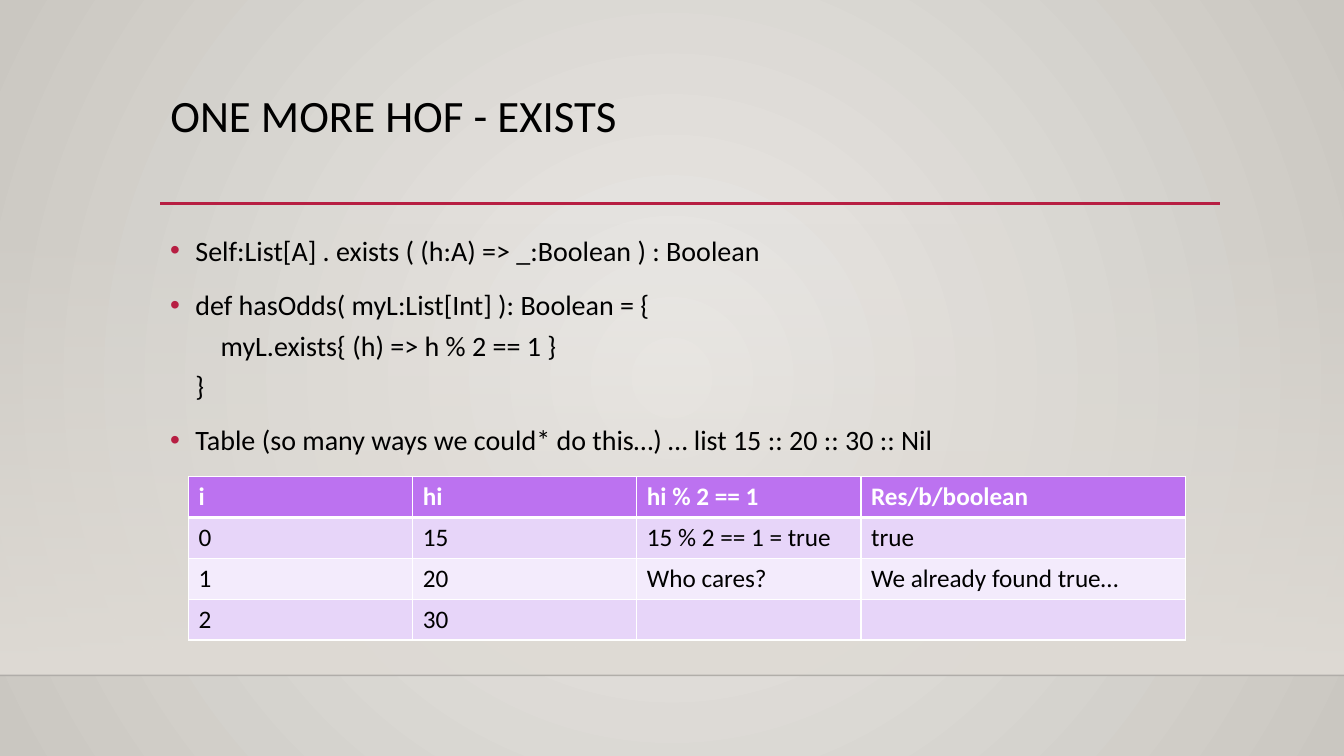
from lxml import etree
from pptx import Presentation
from pptx.dml import color
from pptx.enum import shapes, text
from pptx.oxml import ns
from pptx.util import Inches, Pt

COLORS = {
    "black": "000000", "white": "FFFFFF", "accent": "B71E42",
    "center": "ECEAE7", "edge": "CAC7C1", "floor": "DFDBD5", "shade": "000001",
    "header": "BC72F0", "odd": "E7D5F9", "even": "F3EBFC",
}
FONT = "Calibri"
BULLETS = [
    "Self:List[A] . exists ( (h:A) => _:Boolean ) : Boolean",
    "def hasOdds( myL:List[Int] ): Boolean = {\v\tmyL.exists{ (h) => h % 2 == 1 }\v}",
    "Table (so many ways we could* do this…) … list 15 :: 20 :: 30 :: Nil",
]
STEPS = [
    ["i", "hi", "hi % 2 == 1", "Res/b/boolean"],
    ["0", "15", "15 % 2 == 1 = true", "true"],
    ["1", "20", "Who cares?", "We already found true…"],
    ["2", "30", "", ""],
]


def rgb(name):
    """Return the named colour."""
    return color.RGBColor.from_string(COLORS[name])


def child(parent, tag, **attributes):
    """Append a DrawingML element and return it."""
    element = etree.SubElement(parent, ns.qn(f"a:{tag}"))
    for key, value in attributes.items():
        element.set(key, str(value))
    return element


def apply(target, **values):
    """Set several format values on one object."""
    for key, value in values.items():
        setattr(target, key, value)


def set_font(paragraph, size, name, bold=False):
    """Format all text of a paragraph."""
    apply(paragraph.font, name=FONT, size=Pt(size), bold=bold)
    paragraph.font.color.rgb = rgb(name)


def set_gradient(fill, parent, stops, radial=False):
    """Give a fill two (colour, opacity) stops, running down or outwards."""
    fill.gradient()
    gradient = parent.find(ns.qn("a:gradFill"))
    for part in list(gradient):
        gradient.remove(part)
    stop_list = child(gradient, "gsLst")
    for position, (name, opacity) in zip((0, 100000), stops):
        stop = child(stop_list, "gs", pos=position)
        shade = child(stop, "srgbClr", val=COLORS[name])
        if opacity < 100:
            child(shade, "alpha", val=opacity * 1000)
    if radial:
        circle = child(gradient, "path", path="circle")
        child(circle, "fillToRect", l=50000, t=50000, r=50000, b=50000)
    else:
        child(gradient, "lin", ang=5400000, scaled=0)


def add_rule(page, left, top, width, name, weight, opacity=100):
    """Draw a horizontal line."""
    rule = page.shapes.add_connector(
        shapes.MSO_CONNECTOR.STRAIGHT,
        Inches(left), Inches(top), Inches(left + width), Inches(top))
    rule.line.width = Pt(weight)
    rule.line.color.rgb = rgb(name)
    properties = rule._element.spPr
    if opacity < 100:
        child(properties.find(".//" + ns.qn("a:srgbClr")), "alpha", val=opacity * 1000)
    child(properties, "effectLst")


def add_backdrop(page, box):
    """Paint the page background, the wall fading into it and the floor edge."""
    left, top, width, height = box
    fill = page.background.fill
    fill.solid()
    background = page._element.cSld.find(ns.qn("p:bg")).find(ns.qn("p:bgPr"))
    set_gradient(fill, background, [("center", 100), ("edge", 100)], radial=True)
    wall = page.shapes.add_shape(shapes.MSO_SHAPE.RECTANGLE, *map(Inches, box))
    wall.shadow.inherit = False
    wall.line.fill.background()
    set_gradient(wall.fill, wall._element.spPr, [("floor", 0), ("floor", 100)])
    add_rule(page, left, top + height, width, "shade", 1, opacity=20)


def add_title(page, box, wording):
    """Place the title and the accent rule at its foot."""
    left, top, width, height = box
    title = page.shapes.title
    apply(title, **dict(zip(("left", "top", "width", "height"), map(Inches, box))))
    frame = title.text_frame
    frame.text = wording
    apply(frame, word_wrap=True, vertical_anchor=text.MSO_ANCHOR.TOP,
          auto_size=text.MSO_AUTO_SIZE.NONE)
    paragraph = frame.paragraphs[0]
    apply(paragraph, alignment=text.PP_ALIGN.LEFT, line_spacing=0.9)
    set_font(paragraph, 32, "black")
    add_rule(page, left, top + height - 0.01, width + 0.01, "accent", 2.5)


def add_bullets(page, box, items):
    """Place the bulleted list."""
    frame = page.shapes.add_textbox(*map(Inches, box)).text_frame
    frame.word_wrap = True
    for index, item in enumerate(items):
        paragraph = frame.add_paragraph() if index else frame.paragraphs[0]
        paragraph.text = item
        apply(paragraph, line_spacing=1.2, space_before=Pt(10))
        set_font(paragraph, 20, "black")
        for span in paragraph.runs:
            apply(span.font, name=FONT, size=Pt(20))
        properties = paragraph._p.get_or_add_pPr()
        properties.set("marL", str(Inches(0.25)))
        properties.set("indent", str(Inches(-0.25)))
        bullet_parts = [
            child(properties, "buClr"),
            child(properties, "buFont", typeface="Arial"),
            child(properties, "buChar", char="•"),
        ]
        child(bullet_parts[0], "srgbClr", val=COLORS["accent"])
        defaults = properties.find(ns.qn("a:defRPr"))
        properties.remove(defaults)
        properties.append(defaults)
        for span in paragraph.runs:
            span.font.color.rgb = rgb("black")


def set_borders(cell, bottom):
    """Draw white borders round a cell, with its own bottom weight."""
    properties = cell._tc.get_or_add_tcPr()
    for side, weight in (("L", 1), ("R", 1), ("T", 1), ("B", bottom)):
        border = child(properties, f"ln{side}", w=Pt(weight))
        child(child(border, "solidFill"), "srgbClr", val=COLORS["white"])


def add_steps(page, box, rows):
    """Place the table of evaluation steps; the last column is wider."""
    left, top, width, height = box
    table = page.shapes.add_table(len(rows), len(rows[0]), *map(Inches, box)).table
    table.horz_banding = False
    last_width = 3.22
    for index, column in enumerate(table.columns):
        is_last = index == len(rows[0]) - 1
        column.width = Inches(last_width if is_last else (width - last_width) / 3)
    for row_index, row in enumerate(rows):
        is_header = row_index == 0
        table.rows[row_index].height = Inches(height / len(rows))
        for column_index, wording in enumerate(row):
            cell = table.cell(row_index, column_index)
            set_borders(cell, 3 if is_header else 1)
            cell.fill.solid()
            cell.fill.fore_color.rgb = rgb(
                "header" if is_header else "odd" if row_index % 2 else "even")
            if wording:
                cell.text = wording
                span = cell.text_frame.paragraphs[0].runs[0]
                apply(span.font, name=FONT, size=Pt(18), bold=is_header)
                span.font.color.rgb = rgb("white" if is_header else "black")


def build_exists_slide(deck):
    """Build the slide on the exists function."""
    page = deck.slides.add_slide(deck.slide_layouts[5])
    add_backdrop(page, (0, 2.21, 13.33, 4.49))
    add_title(page, (1.59, 0.88, 10.5, 1.15), "ONE MORE HOF - EXISTS")
    add_bullets(page, (1.59, 2.2, 10.5, 3.77), BULLETS)
    add_steps(page, (1.87, 4.73, 9.89, 1.62), STEPS)


deck = Presentation()
apply(deck, slide_width=Inches(13.33), slide_height=Inches(7.5))
build_exists_slide(deck)
deck.save("out.pptx")
